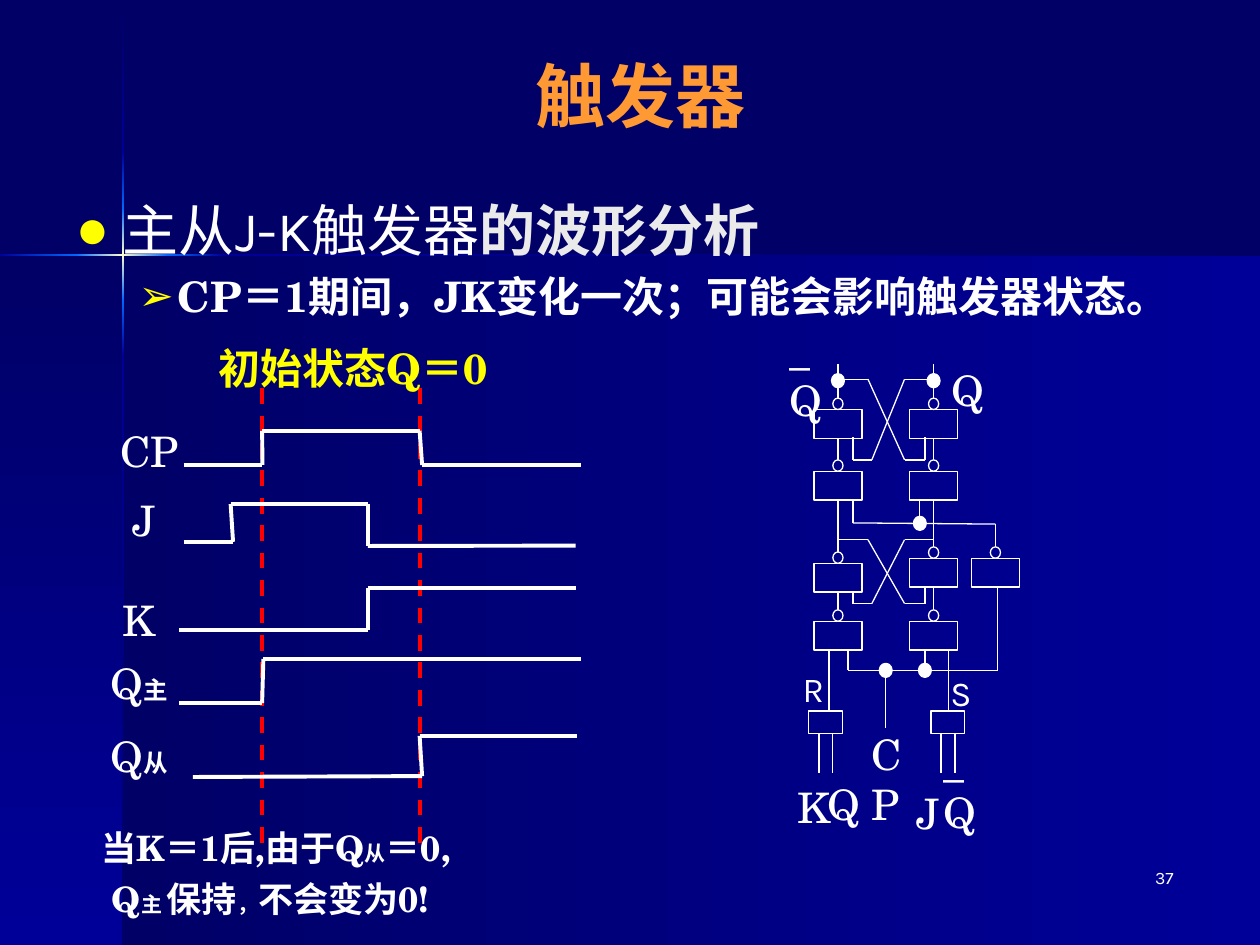
from itertools import pairwise

from lxml.etree import SubElement
from pptx import Presentation
from pptx.dml.color import RGBColor
from pptx.enum.dml import MSO_LINE
from pptx.enum.shapes import MSO_CONNECTOR as Connector, MSO_SHAPE as Shape
from pptx.enum.text import MSO_ANCHOR as Anchor, PP_ALIGN as Align
from pptx.oxml import parse_xml
from pptx.oxml.ns import nsdecls, qn
from pptx.util import Pt

COLORS = {"night": "000066", "navy": "000099", "glow": "0066FF", "spark": "FFFFCC",
          "white": "FFFFFF", "pale": "EAEAEA", "yellow": "FFFF00",
          "orange": "FF9933", "red": "FF0000"}
SANS, SERIF = "Karla", "TeX Gyre Schola"


def rgb(name):
    """Return the palette colour as an RGBColor."""
    return RGBColor.from_string(COLORS[name])


def style(font, size=None, face=None, color=None, bold=None):
    """Set the given attributes of a font."""
    if size:
        font.size = Pt(size)
    if face:
        font.name = face
    if color:
        font.color.rgb = rgb(color)
    if bold is not None:
        font.bold = bold


def write(slide, box, paragraphs, size=24, face=SERIF, color="white", bold=False,
          align=Align.LEFT, wrap=True, gap=0):
    """Add a text box whose paragraphs are lists of (text, size) runs."""
    frame = slide.shapes.add_textbox(*map(Pt, box)).text_frame
    frame.word_wrap = wrap
    for index, runs in enumerate(paragraphs):
        line = frame.add_paragraph() if index else frame.paragraphs[0]
        line.alignment = align
        style(line.font, size, face, color, bold)
        if index and gap:
            line.space_before = Pt(gap)
        for text, run_size in runs:
            run = line.add_run()
            run.text = text
            style(run.font, run_size)


def wire(slide, origin, points, weight=0.75, color="white", dash=None):
    """Join successive points, relative to origin, and return the last connector."""
    left, top = origin
    for (x1, y1), (x2, y2) in pairwise(points):
        segment = slide.shapes.add_connector(
            Connector.STRAIGHT, Pt(left + x1), Pt(top + y1), Pt(left + x2), Pt(top + y2))
        segment.line.color.rgb = rgb(color)
        segment.line.width = Pt(weight)
        if dash:
            segment.line.dash_style = dash
        SubElement(segment._element.spPr, qn("a:effectLst"))
    return segment


def outline(slide, kind, box, weight=0.75, filled=False):
    """Add a white outlined shape, solid if filled."""
    shape = slide.shapes.add_shape(kind, *map(Pt, box))
    shape.shadow.inherit = False
    shape.line.color.rgb = rgb("white")
    shape.line.width = Pt(weight)
    if filled:
        shape.fill.solid()
        shape.fill.fore_color.rgb = rgb("white")
    else:
        shape.fill.background()
    return shape


def backdrop(slide, width, height):
    """Paint the night sky panels and the glowing cross."""
    slide.background.fill.solid()
    slide.background.fill.fore_color.rgb = rgb("night")
    x, y, thin = 69.5, 145, 1.4
    across, down = 0, 90
    flare = ("glow", "spark", "glow")
    panels = [
        ((x, y, width - x, height - y), across, ("night", "navy")),
        ((0, y, x, height - y), down, ("night", "navy")),
        ((x, 1, thin, 86), down, ("night", "navy")),
        ((x, 203, thin, height - 203), down, ("navy", "night")),
        ((127.5, y, width - 127.5, thin), across, ("navy", "night")),
        ((x, 171.5, thin, 31.5), down, ("glow", "navy")),
        ((x, 87, thin, 32), down, ("navy", "glow")),
        ((x, 119, thin, 52.5), down, flare),
        ((0, y, 43.5, thin), across, ("navy", "glow")),
        ((96, y, 31.5, thin), across, ("glow", "navy")),
        ((43.5, y, 52.5, thin), across, flare),
    ]
    for box, angle, names in panels:
        panel = slide.shapes.add_shape(Shape.RECTANGLE, *map(Pt, box))
        panel.shadow.inherit = False
        panel.line.fill.background()
        stops = "".join(
            f'<a:gs pos="{100000 * i // (len(names) - 1)}"><a:srgbClr val="{COLORS[name]}"/></a:gs>'
            for i, name in enumerate(names))
        panel._element.spPr.find(qn("a:prstGeom")).addnext(parse_xml(
            f'<a:gradFill {nsdecls("a")} rotWithShape="1"><a:gsLst>{stops}</a:gsLst>'
            f'<a:lin ang="{angle * 60000}" scaled="0"/></a:gradFill>'))


def place(slide, holder, box):
    """Move a placeholder to the box and in front of the backdrop."""
    holder.left, holder.top, holder.width, holder.height = map(Pt, box)
    slide.shapes._spTree.append(holder._element)
    return holder.text_frame


def heading(slide, box):
    """Fill the title."""
    frame = place(slide, slide.shapes.title, box)
    frame.text = "触发器"
    frame.vertical_anchor = Anchor.MIDDLE
    frame.paragraphs[0].alignment = Align.CENTER
    style(frame.paragraphs[0].font, 40, SANS, "orange", True)


def bullets(slide, box):
    """Fill the body with the topic and its remark."""
    frame = place(slide, slide.placeholders[1], box)
    topic, remark = frame.paragraphs[0], frame.add_paragraph()
    for text, face, color, bold in (("主从J-K触发器", SANS, "white", False),
                                    ("的波形分析", SERIF, "pale", True)):
        run = topic.add_run()
        run.text = text
        style(run.font, 32, face, color, bold)
    remark.text = "CP＝1期间，JK变化一次；可能会影响触发器状态。"
    remark.level = 1
    style(remark.font, 24, SERIF, "white", True)
    for line, mark, margin, hang in ((topic, "●", 27, 27), (remark, "➢", 58.5, 22.5)):
        layout = line._p.get_or_add_pPr()
        layout.set("marL", str(Pt(margin)))
        layout.set("indent", str(-Pt(hang)))
        tint = parse_xml(f'<a:buClr {nsdecls("a")}><a:srgbClr val="{COLORS["yellow"]}"/></a:buClr>')
        bullet = parse_xml(f'<a:buChar {nsdecls("a")} char="{mark}"/>')
        for offset, item in enumerate((tint, bullet)):
            layout.insert(offset, item)


def waveforms(slide, left, top):
    """Draw the clock edges and the five signals."""
    rise, fall, change, end = 95.8, 185.8, 156.2, 276
    for edge in (fall, rise):
        wire(slide, (left, top), [(edge, 29.8), (edge, 290.4)], 2.25, "red", MSO_LINE.DASH)
    write(slide, (left + 48.2, top, 198.7, 36), [[("初始状态Q＝0", None)]],
          color="yellow", bold=True, align=Align.CENTER)
    signals = [
        ("CP", "", (5.8, 47.7), [(51, 73.7), (96, 73.7), (rise, 54.2), (fall, 54.2),
                                 (187.2, 73.7), (278, 73.7)]),
        ("J", "", (2.9, 87.3), [(51, 117.6), (79.2, 117.6), (77.8, 96), (change, 96),
                                (change, 120), (275, 119.8)]),
        ("K", "", (0, 144), [(48.2, 168), (change, 168), (change, 144), (275, 144)]),
        ("Q", "主", (0, 180), [(48.2, 209.8), (rise, 209.8), (96.5, 184.6), (278, 184.6)]),
        ("Q", "从", (0, 222), [(56.2, 252), (187.2, 251.5), (fall, 228.5), (end, 228.5)]),
    ]
    for name, suffix, (x, y), trace in signals:
        wire(slide, (left, top), trace, 2.25)
        runs = [(name, None)] + ([(suffix, 14)] if suffix else [])
        write(slide, (left + x, top + y, 51.1, 36), [runs], align=Align.CENTER)
        if suffix:
            slide.shapes[-1].text_frame.paragraphs[0].runs[1].font.bold = True


def gate(slide, center, top):
    """Draw a gate under its inverting bubble and return both."""
    bubble = outline(slide, Shape.OVAL, (center - 2.9, top, 5.8, 6.5))
    return bubble, outline(slide, Shape.RECTANGLE, (center - 13.7, top + 6.5, 27.4, 16.5))


def circuit(slide, left, top):
    """Draw the master-slave flip-flop."""
    origin = left, top
    west, east, inner_west, inner_east = 34.8, 89.5, 43.4, 84.5
    for x, third in ((west, 135.4), (east, 132.5)):
        above = None
        for y in (47.5, 82.8, third, 168.5):
            bubble, body = gate(slide, left + x, top + y)
            link = wire(slide, origin, [(x, 28.1), (x, y)])
            if above:
                link.begin_connect(above, 2)
            link.end_connect(bubble, 0)
            above = body
    gate(slide, left + 124.8, top + 132.5)
    for high, low, west_foot, east_foot in ((36.7, 82.8, 70, 70), (128.4, 164.9, 158.4, 155.5)):
        wire(slide, origin, [(west, high), (52, high), (72.9, low), (inner_east, low),
                             (inner_east, east_foot)])
        wire(slide, origin, [(east, high), (72.9, high), (54.2, low), (inner_west, low),
                             (inner_west, west_foot)])
    for route in ([(inner_west, 105.8), (inner_west, 118.8), (124.8, 119.5), (124.8, 132.5)],
                  [(81.6, 105.8), (81.6, 118.8)],
                  [(40.5, 191), (40.5, 203), (126.2, 203), (126.2, 155.5)],
                  [(inner_east, 191), (inner_east, 203)],
                  [(62.1, 203), (62.1, 236.2)]):
        wire(slide, origin, route)
    for x, y in ((west, 37.5), (east, 37.5), (81.6, 119), (62.1, 203), (inner_east, 203)):
        outline(slide, Shape.OVAL, (left + x - 2.9, top + y - 3.2, 5.8, 6.5), 2.25, True)
    for x, feed in ((18.2, 29.7), (88, 98.1)):
        outline(slide, Shape.RECTANGLE, (left + x, top + 226.2, 19.4, 13))
        wire(slide, origin, [(feed, 191), (feed, 226.2)])
        for lead in (5.8, 13.7):
            wire(slide, origin, [(x + lead, 239.6), (x + lead, 262)])
    labels = [(["_", "Q"], (0, 1.4, 16.6, 35.3), True), (["Q"], (92.4, 24.5, 15, 19.4), False),
              (["CP"], (47, 232.6, 46.8, 28.8), True), (["K"], (4.5, 262.8, 14.4, 19.4), False),
              (["Q"], (21.8, 261.4, 15, 19.4), False), (["J"], (74.4, 266.4, 12.2, 19.4), False),
              (["_", "Q"], (88, 236.9, 44.6, 52.6), True)]
    for lines, (x, y, width, height), wrap in labels:
        write(slide, (left + x, top + y, width, height), [[(line, None)] for line in lines],
              wrap=wrap)
    for name, x, y in (("R", 8.1, 198), ("S", 92.4, 200.2)):
        write(slide, (left + x, top + y, 13.7, 17.3), [[(name, None)]], 20, SANS)


def conclusion(slide, box):
    """State what happens once K is 1."""
    write(slide, box, [[("当K＝1后,由于Q", None), ("从", 12), ("＝0,", None)],
                       [(" Q", None), ("主 ", 12), ("保持", None), ("，", 12), ("不会变为0!", None)]],
          20, bold=True, gap=5)


def main():
    """Build and save the slide."""
    deck = Presentation()
    deck.slide_width, deck.slide_height = Pt(720), Pt(540)
    slide = deck.slides.add_slide(deck.slide_layouts[1])
    backdrop(slide, 720, 540)
    write(slide, (527.8, 491.8, 149.8, 36), [[("37", None)]], 10, SANS, align=Align.RIGHT)
    heading(slide, (36, 24, 660, 60))
    bullets(slide, (36, 108, 654, 372))
    waveforms(slide, 54, 192)
    conclusion(slide, (51.1, 468.7, 282.2, 67.7))
    circuit(slide, 444, 180)
    deck.save("out.pptx")


if __name__ == "__main__":
    main()
